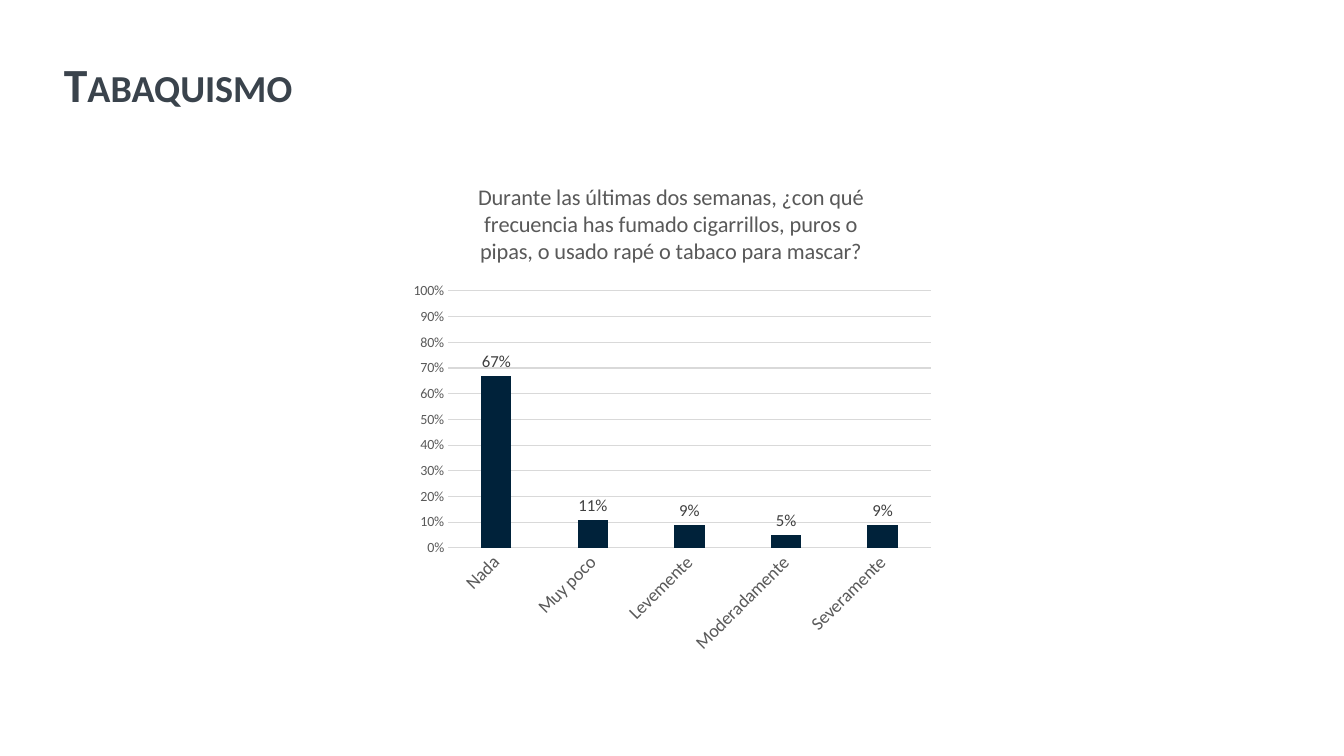
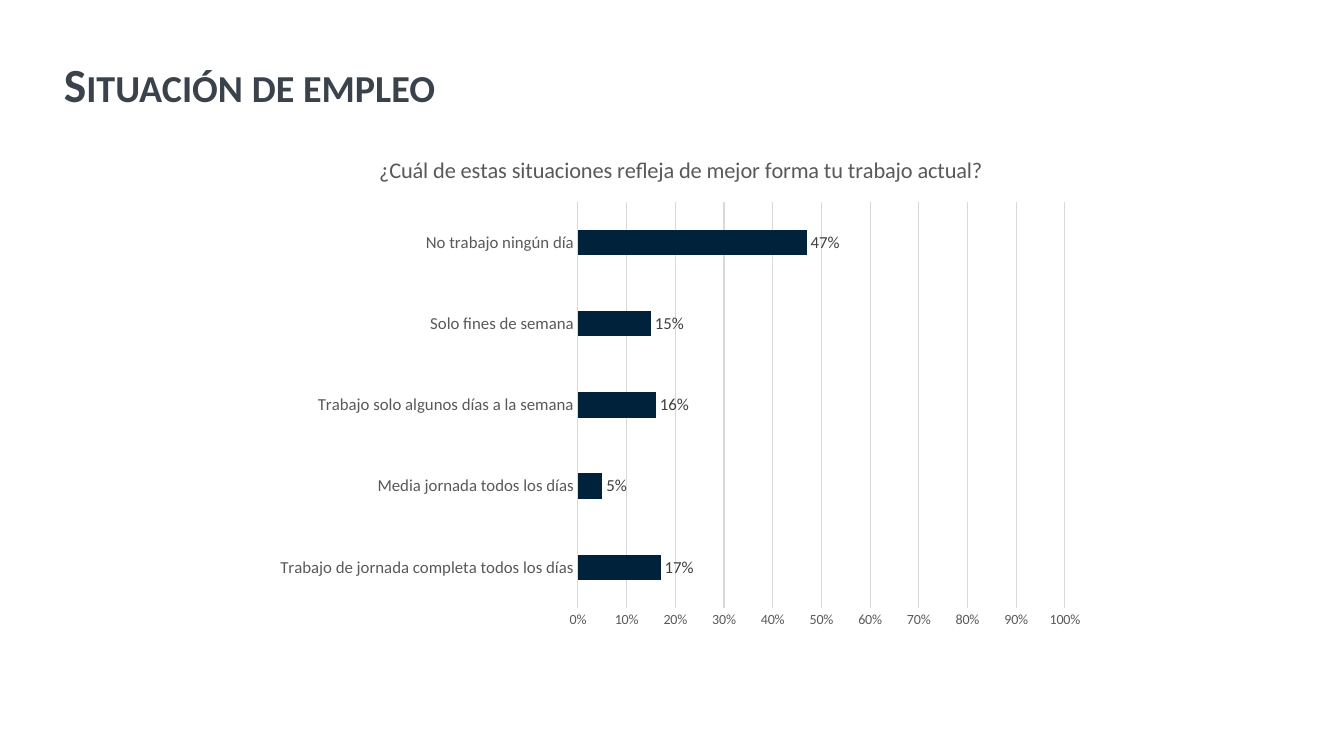
from lxml import etree
from pptx import Presentation
from pptx.chart.data import CategoryChartData
from pptx.dml.color import RGBColor
from pptx.enum.chart import XL_CHART_TYPE as ChartType
from pptx.enum.chart import XL_LABEL_POSITION as LabelPosition
from pptx.enum.chart import XL_TICK_MARK as TickMark
from pptx.enum.text import MSO_ANCHOR as Anchor
from pptx.oxml.ns import qn
from pptx.util import Emu, Pt

EMU_PER_PX = 914400 / 100.8
SLIDE_SIZE = (1344, 756)
TITLE_BOX = (54, 40, 1283, 95)

FONT = "Calibri"
TITLE_COLOR = "3A434C"
BAR_COLOR = "00223A"
AXIS_TEXT = "595959"
LABEL_TEXT = "404040"
GRID_COLOR = "D9D9D9"


def px(length):
    return Emu(round(length * EMU_PER_PX))


def rgb(hex_color):
    return RGBColor.from_string(hex_color)


def style_font(font, size, color, bold=False):
    font.name = FONT
    font.size = Pt(size)
    font.bold = bold
    font.color.rgb = rgb(color)


def style_line(line, color):
    line.color.rgb = rgb(color)
    line.width = Pt(0.75)


def add_title(slide, text):
    frame = slide.shapes.add_textbox(*map(px, TITLE_BOX)).text_frame
    frame.word_wrap = True
    frame.vertical_anchor = Anchor.MIDDLE
    heading = frame.paragraphs[0]
    heading.text = text
    heading.line_spacing = 0.9
    style_font(heading.font, 34, TITLE_COLOR, bold=True)
    heading.font._rPr.set("cap", "small")


def place_plot(chart, box, plot_box):
    """Fix the inner plot area; both boxes are in slide px."""
    left, top, width, height = box
    plot_left, plot_top, plot_width, plot_height = plot_box
    plot_area = chart._chartSpace.find(".//" + qn("c:plotArea"))
    for old_layout in plot_area.findall(qn("c:layout")):
        plot_area.remove(old_layout)
    layout = etree.Element(qn("c:layout"))
    manual = etree.SubElement(layout, qn("c:manualLayout"))
    settings = {
        "layoutTarget": "inner",
        "xMode": "edge",
        "yMode": "edge",
        "x": (plot_left - left) / width,
        "y": (plot_top - top) / height,
        "w": plot_width / width,
        "h": plot_height / height,
    }
    for tag, value in settings.items():
        etree.SubElement(manual, qn("c:" + tag)).set("val", str(value))
    plot_area.insert(0, layout)


def style_axes(chart, category_size, category_angle):
    categories, values = chart.category_axis, chart.value_axis
    for axis, size in ((categories, category_size), (values, 10)):
        axis.major_tick_mark = axis.minor_tick_mark = TickMark.NONE
        style_font(axis.tick_labels.font, size, AXIS_TEXT)
    categories.has_major_gridlines = False
    style_line(categories.format.line, GRID_COLOR)
    body = categories._element.find(qn("c:txPr")).find(qn("a:bodyPr"))
    body.set("rot", str(category_angle * 60000))
    body.set("vert", "horz")

    values.minimum_scale, values.maximum_scale = 0, 1
    values.major_unit = 0.1
    values.has_major_gridlines = True
    style_line(values.major_gridlines.format.line, GRID_COLOR)
    values.format.line.fill.background()
    values.tick_labels.number_format = "0%"
    values.tick_labels.number_format_is_linked = False


def style_bars(plot, overlap):
    plot.gap_width = 219
    plot.overlap = overlap
    plot.vary_by_categories = False
    fill = plot.series[0].format.fill
    fill.solid()
    fill.fore_color.rgb = rgb(BAR_COLOR)
    plot.has_data_labels = True
    labels = plot.data_labels
    labels.show_value = True
    labels.position = LabelPosition.OUTSIDE_END
    labels.number_format = "0%"
    labels.number_format_is_linked = False
    style_font(labels.font, 12, LABEL_TEXT)


def add_survey_chart(slide, chart_type, box, plot_box, question, answers,
                     category_size, category_angle=0, overlap=0):
    data = CategoryChartData(number_format="0%")
    data.categories = list(answers)
    data.add_series("Series 1", list(answers.values()))
    chart = slide.shapes.add_chart(chart_type, *map(px, box), data).chart
    chart.has_legend = False
    chart.font.name = "Arial"
    chart.font.size = Pt(10)
    chart.has_title = True
    heading = chart.chart_title.text_frame.paragraphs[0]
    heading.text = question
    style_font(heading.font, 16, AXIS_TEXT)
    style_axes(chart, category_size, category_angle)
    style_bars(chart.plots[0], overlap)
    place_plot(chart, box, plot_box)


def build_smoking(slide):
    add_title(slide, "Tabaquismo")
    add_survey_chart(
        slide, ChartType.COLUMN_CLUSTERED,
        box=(402, 162, 538, 502), plot_box=(448, 291, 483, 257),
        question="Durante las últimas dos semanas, ¿con qué frecuencia has fumado "
                 "cigarrillos, puros o pipas, o usado rapé o tabaco para mascar?",
        answers={"Nada": 0.67, "Muy poco": 0.11, "Levemente": 0.09,
                 "Moderadamente": 0.05, "Severamente": 0.09},
        category_size=13, category_angle=-45, overlap=-27)


def build_employment(slide):
    add_title(slide, "Situación de empleo")
    add_survey_chart(
        slide, ChartType.BAR_CLUSTERED,
        box=(264, 135, 834, 502), plot_box=(578, 202, 487, 406),
        question="¿Cuál de estas situaciones refleja de mejor forma tu trabajo actual?",
        answers={"Trabajo de jornada completa todos los días": 0.17,
                 "Media jornada todos los días": 0.05,
                 "Trabajo solo algunos días a la semana": 0.16,
                 "Solo fines de semana": 0.15,
                 "No trabajo ningún día": 0.47},
        category_size=12)


def main():
    deck = Presentation()
    deck.slide_width, deck.slide_height = map(px, SLIDE_SIZE)
    blank = deck.slide_layouts[6]
    for build in (build_smoking, build_employment):
        build(deck.slides.add_slide(blank))
    deck.save("out.pptx")


if __name__ == "__main__":
    main()
